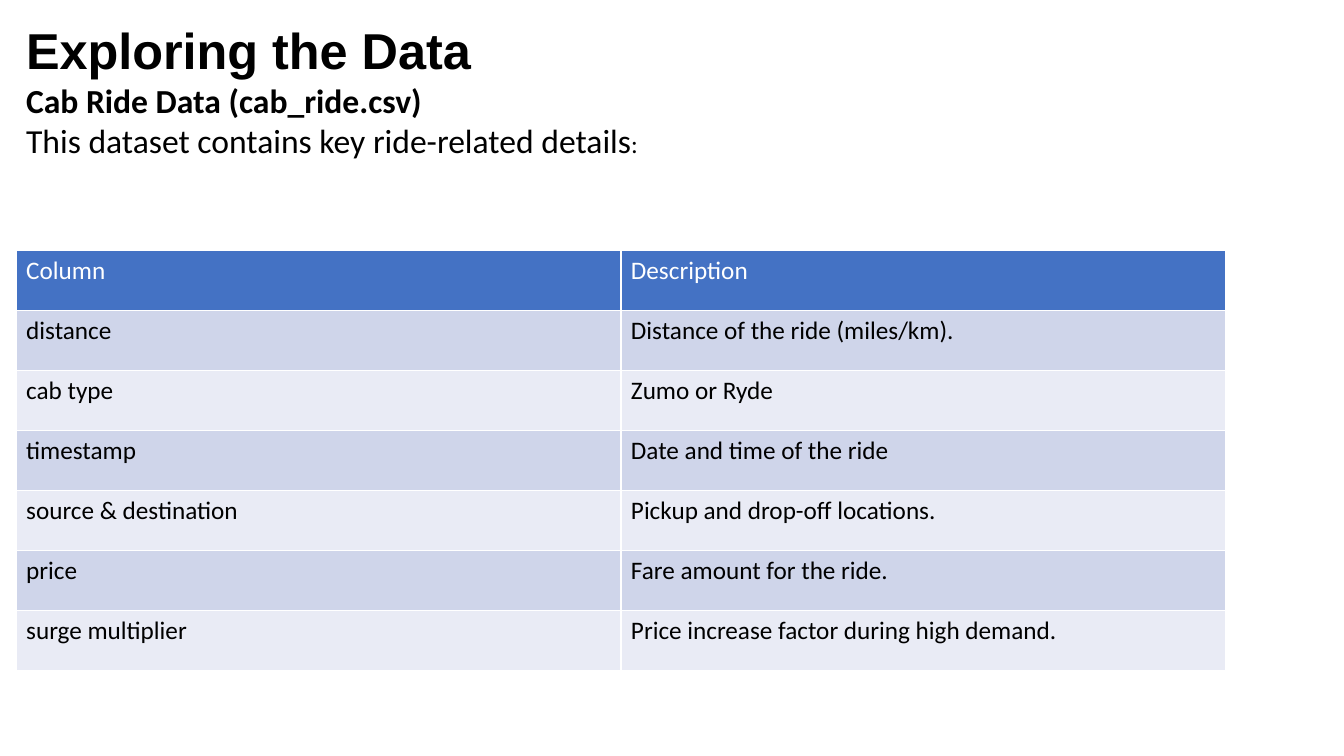
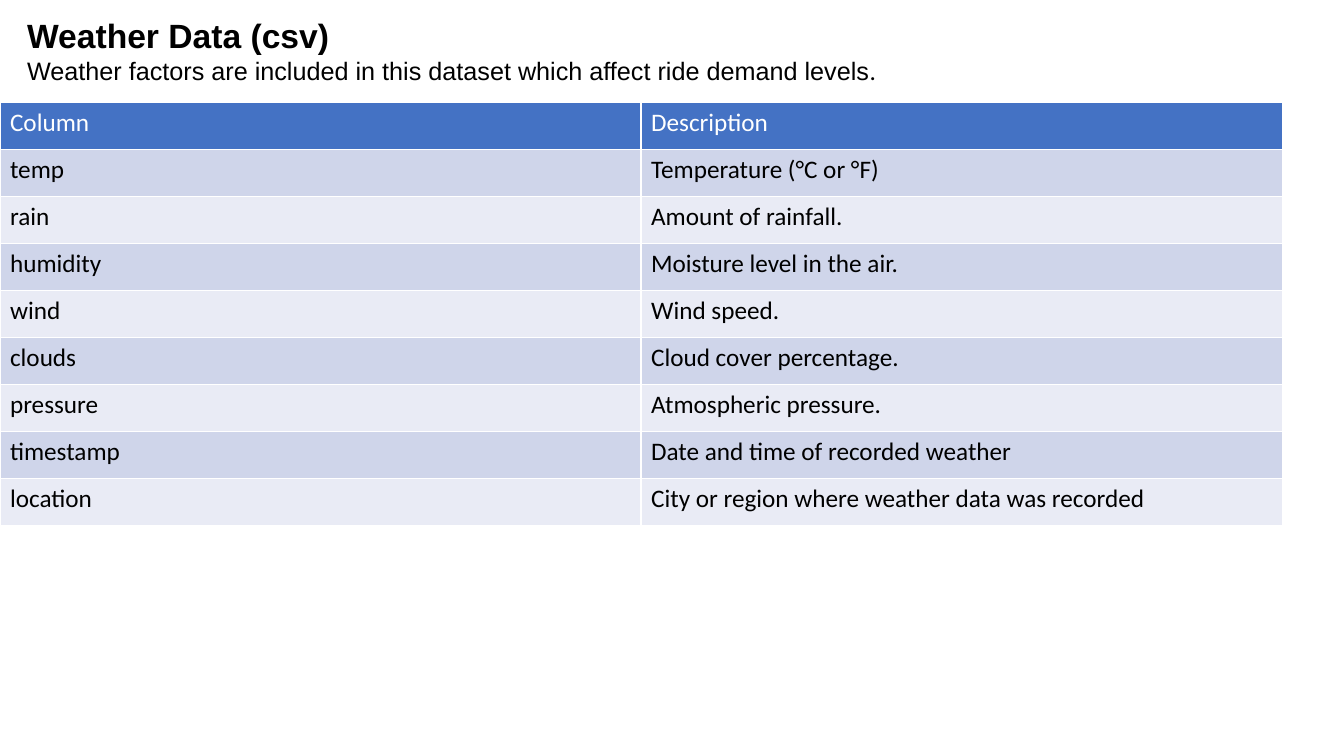
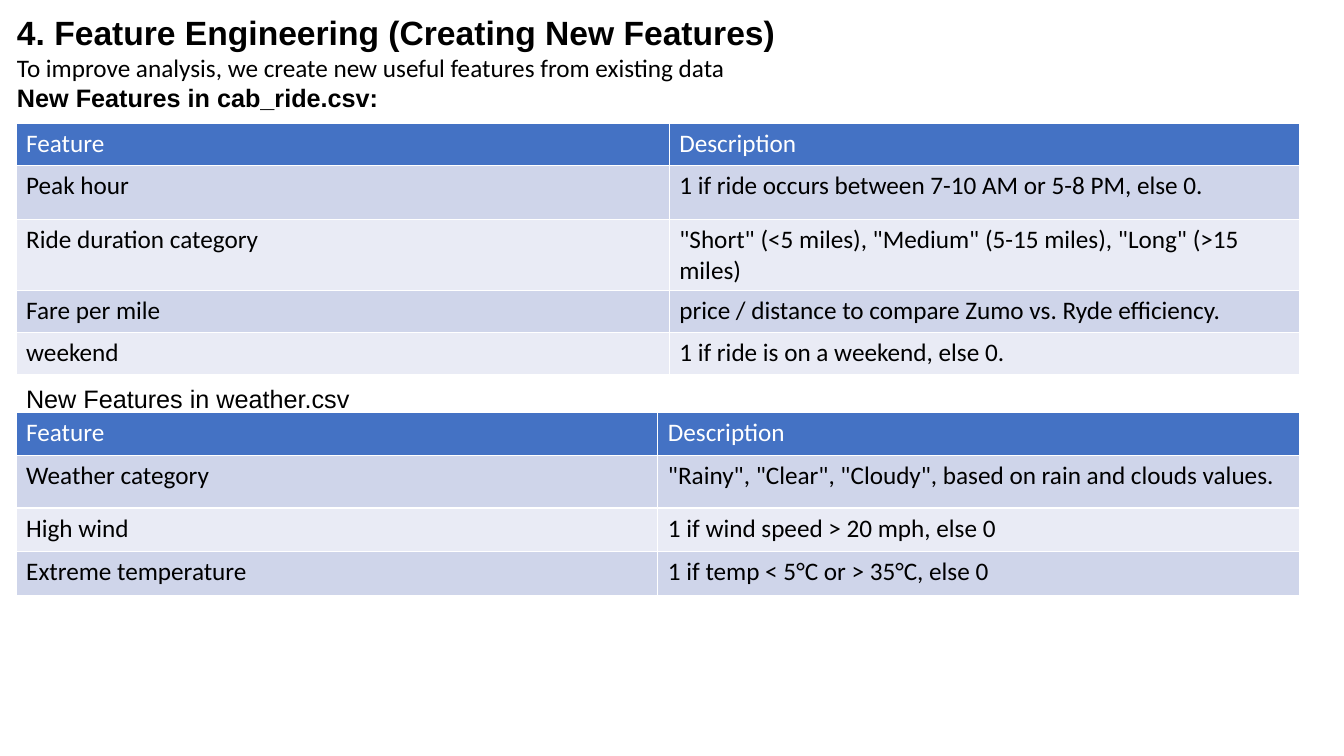
from pptx import Presentation
from pptx.dml.color import RGBColor
from pptx.util import Inches, Pt

rgb = RGBColor.from_string
WHITE, BLACK, HEADER_BLUE = "FFFFFF", "000000", "4472C4"
BANDS = ["E9EBF5", "CFD5EA"]
HEADING, BODY = "Arial", "Calibri"

deck = Presentation()
deck.slide_width, deck.slide_height = Inches(13.33), Inches(7.5)
# Positions and sizes below are percentages of the slide's width (X) and height (Y).
X, Y = deck.slide_width / 100, deck.slide_height / 100


def write(paragraph, text, size=18, font=BODY, bold=False, color=BLACK):
    run = paragraph.add_run()
    run.text = text
    run.font.size, run.font.name, run.font.bold = Pt(size), font, bold
    run.font.color.rgb = rgb(color)


def add_data_table(slide, left, top, column_widths, row_heights, rows):
    """Add a table with a blue header row and alternating body bands."""
    table = slide.shapes.add_table(
        len(rows), len(column_widths), int(left * X), int(top * Y),
        int(sum(column_widths) * X), int(sum(row_heights) * Y)).table
    for column, width in zip(table.columns, column_widths):
        column.width = int(width * X)
    for r, (height, texts) in enumerate(zip(row_heights, rows)):
        table.rows[r].height = int(height * Y)
        for c, text in enumerate(texts):
            cell = table.cell(r, c)
            cell.fill.solid()
            cell.fill.fore_color.rgb = rgb(BANDS[r % 2] if r else HEADER_BLUE)
            write(cell.text_frame.paragraphs[0], text, color=BLACK if r else WHITE)


cab_columns = [
    ("Column", "Description"),
    ("distance", "Distance of the ride (miles/km)."),
    ("cab type", "Zumo or Ryde"),
    ("timestamp", "Date and time of the ride"),
    ("source & destination", "Pickup and drop-off locations."),
    ("price", "Fare amount for the ride."),
    ("surge multiplier", "Price increase factor during high demand."),
]
weather_columns = [
    ("Column", "Description"),
    ("temp", "Temperature (°C or °F)"),
    ("rain", "Amount of rainfall."),
    ("humidity", "Moisture level in the air."),
    ("wind", "Wind speed."),
    ("clouds", "Cloud cover percentage."),
    ("pressure", "Atmospheric pressure."),
    ("timestamp", "Date and time of recorded weather"),
    ("location", "City or region where weather data was recorded"),
]
cab_features = [
    ("Feature", "Description"),
    ("Peak hour", "1 if ride occurs between 7-10 AM or 5-8 PM, else 0."),
    ("Ride duration category",
     '"Short" (<5 miles), "Medium" (5-15 miles), "Long" (>15 miles)'),
    ("Fare per mile", "price / distance to compare Zumo vs. Ryde efficiency."),
    ("weekend", "1 if ride is on a weekend, else 0."),
]
weather_features = [
    ("Feature", "Description"),
    ("Weather category",
     '"Rainy", "Clear", "Cloudy", based on rain and clouds values.'),
    ("High wind", "1 if wind speed > 20 mph, else 0"),
    ("Extreme temperature", "1 if temp < 5°C or > 35°C, else 0"),
]

# Each slide: text blocks (box, paragraphs of runs), then tables
# (left, top, column widths, row heights, rows).
pages = [
    ([((1.2, 1.87, 50, 20.1), [
        [("Exploring the Data", 36, HEADING, True)],
        [("Cab Ride Data (cab_ride.csv)", 24, BODY, True)],
        [("This dataset contains key ride-related details", 24), (":",)],
    ])],
     [(1.2, 33.1, [45, 45], [7.94] * 7, cab_columns)]),
    ([((1.28, 1.33, 73.7, 10.8), [
        [("Weather Data (csv)", 24, HEADING, True)],
        [("Weather factors are included in this dataset which affect "
          "ride demand levels", 18, HEADING), (".",)],
    ])],
     [(0, 13.6, [47.7, 47.7], [6.21] * 9, weather_columns)]),
    ([((0.53, 0.93, 74.5, 14.8), [
        [("4. Feature Engineering (Creating New Features)", 24, HEADING, True)],
        [("To improve analysis, we create new useful features from existing data",)],
        [("New Features in cab_ride.csv:", 18, HEADING, True)],
    ]),
      ((1.2, 50.1, 50.1, 5.33), [[("New Features in weather.csv", 18, HEADING)]])],
     [(1.2, 16.3, [48.6, 46.9], [5.56, 7.2, 9.4, 5.56, 5.56], cab_features),
      (1.2, 54.5, [47.75, 47.75], [5.77, 6.93, 5.77, 5.77], weather_features)]),
]

for text_blocks, tables in pages:
    slide = deck.slides.add_slide(deck.slide_layouts[6])
    for (left, top, width, height), paragraphs in text_blocks:
        frame = slide.shapes.add_textbox(
            int(left * X), int(top * Y), int(width * X), int(height * Y)).text_frame
        frame.word_wrap = True
        for i, runs in enumerate(paragraphs):
            paragraph = frame.add_paragraph() if i else frame.paragraphs[0]
            for run in runs:
                write(paragraph, *run)
    for table in tables:
        add_data_table(slide, *table)

deck.save("out.pptx")
